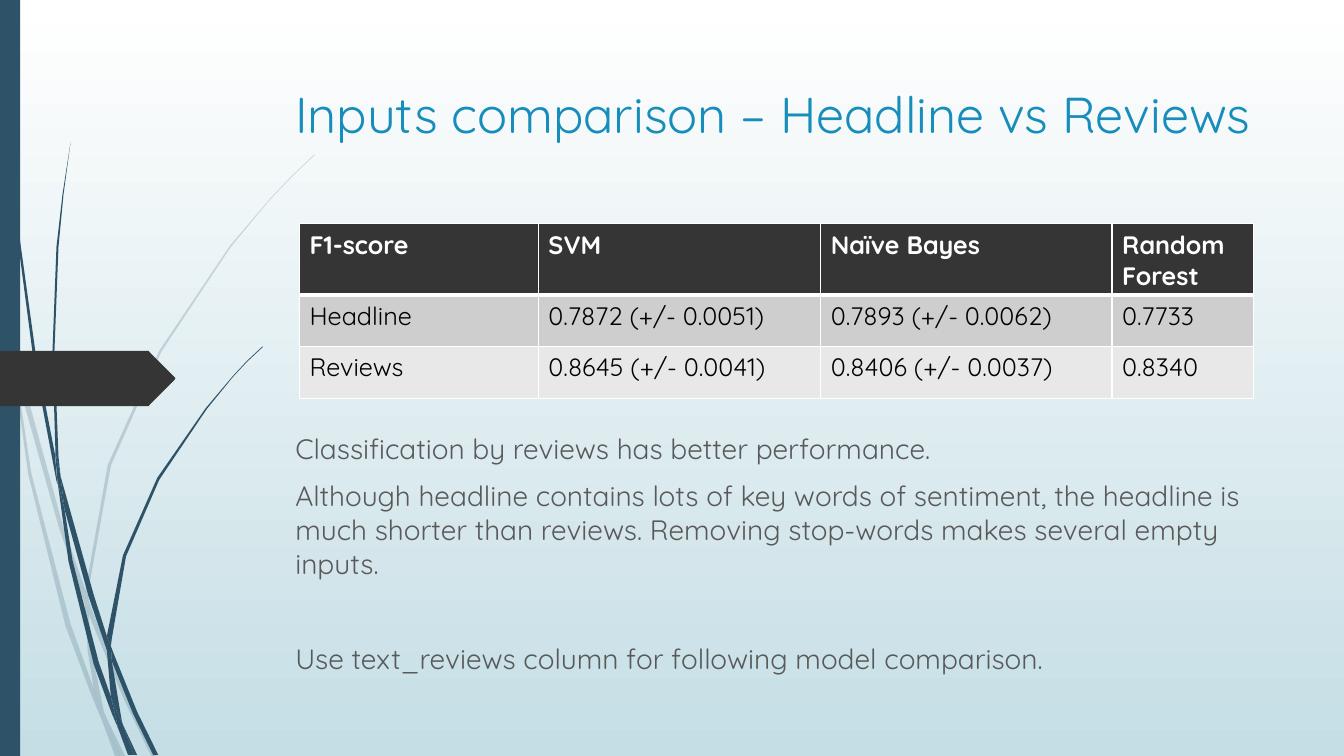
from lxml import etree
from pptx import Presentation
from pptx.dml.color import RGBColor
from pptx.enum.shapes import MSO_SHAPE
from pptx.enum.text import MSO_ANCHOR
from pptx.oxml.ns import qn
from pptx.util import Inches, Pt

RECT = MSO_SHAPE.RECTANGLE
TOP, LOW = MSO_ANCHOR.TOP, MSO_ANCHOR.BOTTOM
FACE = "Quicksand"
HUES = {
    "stem": "2E5369", "dark": "353535", "title": "178DBB", "body": "595959",
    "white": "FFFFFF", "black": "000000", "odd": "CECECE", "even": "E8E8E8",
    "sky": "C5DEE5",
}
PALE = [
    "11,350 9,322 0,282 0,299 10,344",
    "58,522 84,599 85,586 62,520 14,345 17,376",
    "92,607 88,596 88,610 123,694 150,750 155,750 127,692",
    "119,750 124,750 105,711",
    "93,683 70,619 31,469 17,376 11,350 28,470 65,621 92,693 101,714 99,707",
    "84,599 87,646 93,683 96,692 105,711 103,706 91,646 88,610 88,608",
    "88,584 110,462 160,349 229,245 268,198 290,175 312,154 312,153 289,175 "
    "268,197 228,244 158,348 107,461 85,584 85,586 88,596",
    "101,714 114,750 119,750",
    "88,608 88,610 88,596 85,586 84,599",
    "96,692 93,683 99,707 101,714 119,750 105,711",
]
DEEP = [
    "7,110 17,233 33,355 56,477 57,481 55,457 55,453 36,355 19,232 8,109 "
    "5,48 4,0 3,0 4,48",
    "88,592 106,645 106,633 106,631 93,590 60,472 64,505",
    "113,649 110,641 111,656 132,708 152,749 157,749 136,706",
    "110,691 98,657 72,556 64,505 57,477 68,557 93,659 111,708 117,722 116,717",
    "60,472 58,453 54,349 58,245 63,193 70,141 62,193 56,245 52,349 55,449",
    "133,749 136,749 122,719",
    "57,477 64,505 60,472 55,449 55,453",
    "111,633 125,552 158,476 205,406 231,374 245,359 261,344 260,344 245,358 "
    "231,373 204,405 156,474 122,551 106,631 110,641",
    "117,722 127,749 131,749",
    "106,645 110,691 116,706 122,719 121,716 111,656 109,651",
    "106,645 109,651 111,656 110,641 106,631 106,633",
    "116,706 110,691 116,717 117,722 130,749 133,749 122,719",
]
ARROW = ("173,29 148,54 148,55 146,55 0,55 0,0 146,0 148,0 148,1 173,26 174,27")
SCORES = [
    ["F1-score", "SVM", "Naïve Bayes", "Random Forest"],
    ["Headline", "0.7872 (+/- 0.0051)", "0.7893 (+/- 0.0062)", "0.7733"],
    ["Reviews", "0.8645 (+/- 0.0041)", "0.8406 (+/- 0.0037)", "0.8340"],
]
COLS = [2.37, 2.8, 2.89, 1.4]
ROWS = [0.71, 0.51, 0.51]
NOTES = [
    ("Classification by reviews has better performance.", 10),
    ("Although headline contains lots of key words of sentiment, the headline "
     "is much shorter than reviews. Removing stop-words makes several empty "
     "inputs.", 10),
    ("Use text_reviews column for following model comparison.", 44),
]


def tint(key):
    return RGBColor.from_string(HUES[key])


def apply(obj, vals):
    for name, val in vals.items():
        setattr(obj, name, val)


def style(font, size, key, bold=False):
    apply(font, {"name": FACE, "size": Pt(size), "bold": bold})
    font.color.rgb = tint(key)


def paint(shape, key, alpha=None):
    shape.shadow.inherit = False
    shape.fill.solid()
    shape.fill.fore_color.rgb = tint(key)
    shape.line.fill.background()
    if alpha:
        hue = shape.fill._xPr.find(qn("a:solidFill"))[0]
        etree.SubElement(hue, qn("a:alpha")).set("val", str(alpha * 1000))


def blade(shapes, box, dots, key, alpha=None):
    spots = [tuple(map(int, dot.split(","))) for dot in dots.split()]
    form = shapes.build_freeform(*spots[0], scale=Inches(0.01))
    form.add_line_segments(spots[1:], close=True)
    paint(form.convert_to_shape(Inches(box[0]), Inches(box[1])), key, alpha)


def backdrop(slide):
    fill = slide.background.fill
    fill.gradient()
    fill.gradient_angle = 270
    for stop, (key, place) in zip(fill.gradient_stops, [("white", 0), ("sky", 1)]):
        stop.color.rgb = tint(key)
        stop.position = place


def grass(slide, box):
    for stems, alpha in [(PALE, 20), (DEEP, None)]:
        group = slide.shapes.add_group_shape()
        for dots in stems:
            blade(group.shapes, box, dots, "stem", alpha)


def margin(slide, box):
    left, top, wide, high = box
    bar = slide.shapes.add_shape(RECT, *map(Inches, (left, top, wide, high)))
    paint(bar, "stem")
    blade(slide.shapes, (left, top + 3.48), ARROW, "dark")


def prose(slide, box, lines, size, key, anchor):
    frame = slide.shapes.add_textbox(*map(Inches, box)).text_frame
    apply(frame, {"word_wrap": True, "vertical_anchor": anchor})
    for num, (text, gap) in enumerate(lines):
        para = frame.add_paragraph() if num else frame.paragraphs[0]
        para.space_before = Pt(gap)
        run = para.add_run()
        run.text = text
        style(run.font, size, key)


def border(cell, widths):
    props = cell._tc.get_or_add_tcPr()
    for side, width in widths.items():
        line = etree.SubElement(props, qn("a:ln" + side), w=str(Pt(width)))
        fill = etree.SubElement(line, qn("a:solidFill"))
        etree.SubElement(fill, qn("a:srgbClr"), val=HUES["white"])


def scores(slide, box):
    grid = slide.shapes.add_table(len(ROWS), len(COLS), *map(Inches, box)).table
    for col, wide in zip(grid.columns, COLS):
        col.width = Inches(wide)
    looks = [("dark", "white"), ("odd", "black"), ("even", "black")]
    for num, (row, high, look) in enumerate(zip(grid.rows, ROWS, looks)):
        row.height = Inches(high)
        back, ink = look
        edge = {"L": 1, "R": 1, "T": 3 if num == 1 else 1, "B": 1 if num else 3}
        for cell, text in zip(row.cells, SCORES[num]):
            border(cell, edge)
            cell.fill.solid()
            cell.fill.fore_color.rgb = tint(back)
            cell.text = text
            style(cell.text_frame.paragraphs[0].runs[0].font, 18, ink, num == 0)


def main():
    deck = Presentation()
    apply(deck, {"slide_width": Inches(13.33), "slide_height": Inches(7.5)})
    slide = deck.slides.add_slide(deck.slide_layouts[6])
    backdrop(slide)
    grass(slide, (0, 0))
    margin(slide, (0, 0, 0.2, 7.5))
    title = [("Inputs comparison – Headline vs Reviews", 0)]
    prose(slide, (2.83, -0.14, 10.4, 1.61), title, 36, "title", LOW)
    prose(slide, (2.83, 4.23, 9.75, 2.91), NOTES, 20, "body", TOP)
    scores(slide, (2.97, 2.22, sum(COLS), sum(ROWS)))
    deck.save("out.pptx")


if __name__ == "__main__":
    main()
